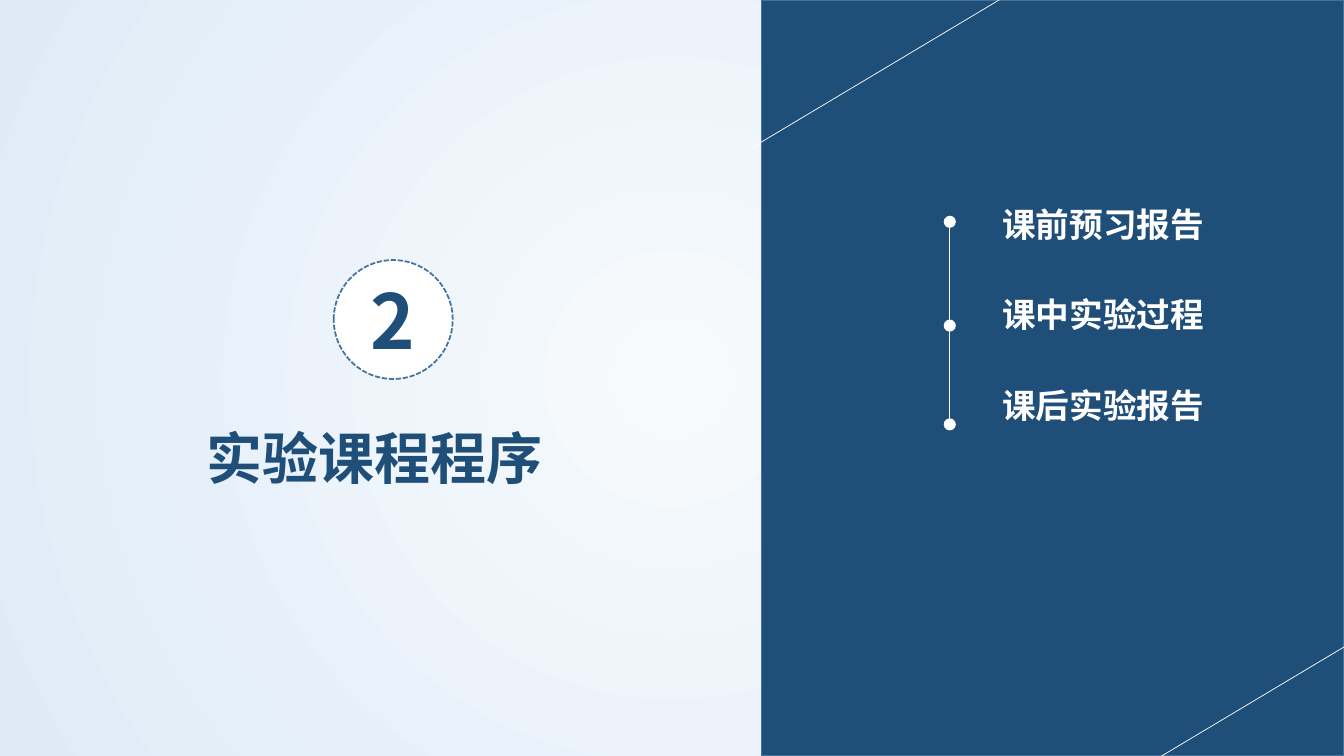
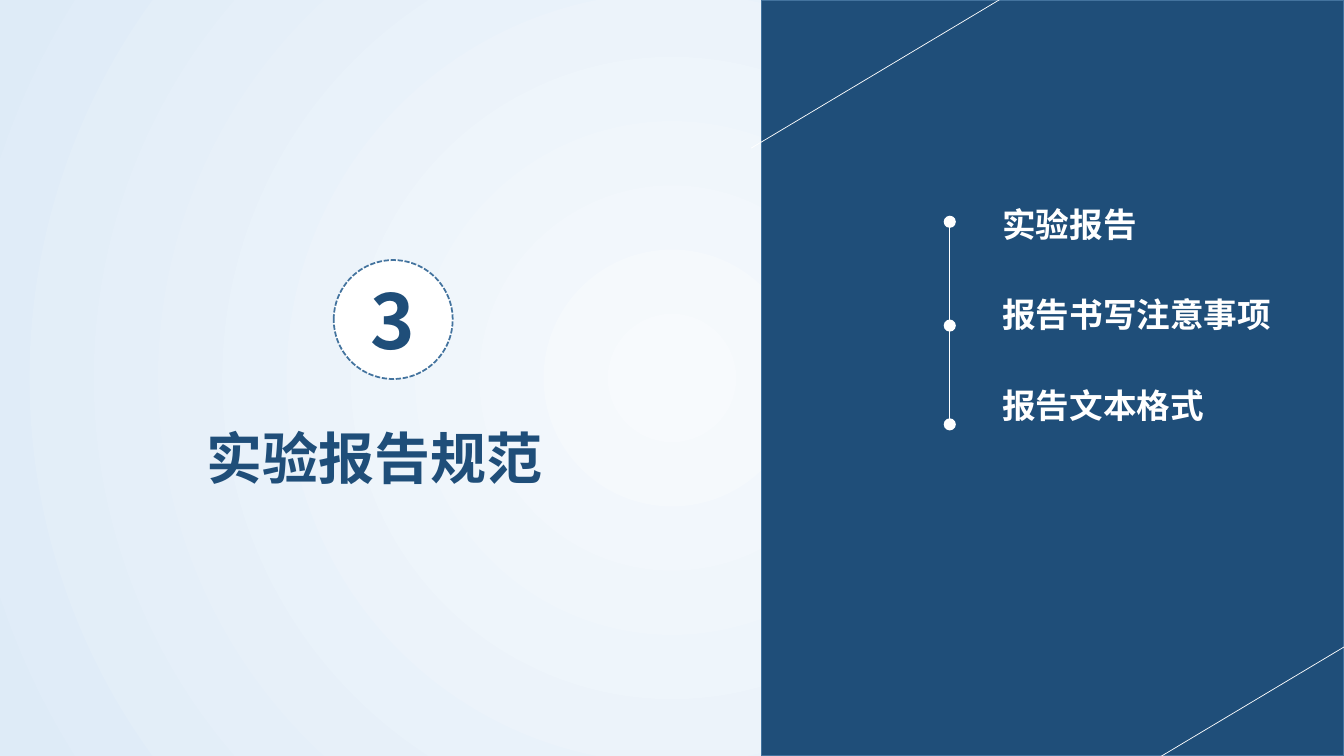
from dataclasses import dataclass

from lxml import etree
from pptx import Presentation
from pptx.dml.color import RGBColor
from pptx.enum import dml, shapes, text
from pptx.oxml.ns import qn
from pptx.util import Inches, Pt


@dataclass(frozen=True)
class Theme:
    font: str = "Noto Sans CJK SC"
    navy: RGBColor = RGBColor(0x1F, 0x4E, 0x79)
    outline: RGBColor = RGBColor(0x43, 0x73, 0x9E)
    white: RGBColor = RGBColor(0xFF, 0xFF, 0xFF)
    glow: RGBColor = RGBColor(0xF7, 0xFA, 0xFD)
    mist: RGBColor = RGBColor(0xDE, 0xEB, 0xF7)
    number_size: int = 54
    title_size: int = 40
    topic_size: int = 24


THEME = Theme()
SLIDE_WIDTH, SLIDE_HEIGHT = 13.33, 7.5
PANEL_LEFT = 7.55
DIAGONALS = [(10.36, -0.27, 7.45, 1.47), (13.98, 6.03, 11.07, 7.77)]
DOT_LEFT, DOT_SIZE = 9.36, 0.12
DOT_TOPS = [2.14, 3.17, 4.15]
TOPIC_GAP = 36

SECTIONS = [
    ("2", "实验课程程序", ["课前预习报告", "课中实验过程", "课后实验报告"]),
    ("3", "实验报告规范", ["实验报告", "报告书写注意事项", "报告文本格式"]),
]


def set_background(master):
    """Give every slide a radial gradient, lightest in the centre."""
    fill = master.background.fill
    fill.gradient()
    for stop, color in zip(fill.gradient_stops, (THEME.glow, THEME.mist)):
        stop.color.rgb = color
    gradient = master._element.find(".//" + qn("a:gradFill"))
    gradient.remove(gradient.find(qn("a:lin")))
    circle = etree.SubElement(gradient, qn("a:path"), path="circle")
    centre = dict.fromkeys("ltrb", "50000")
    etree.SubElement(circle, qn("a:fillToRect"), centre)


def style_paragraph(paragraph, size, color, align):
    paragraph.alignment = align
    font = paragraph.font
    font.name, font.size, font.bold = THEME.font, Pt(size), True
    font.color.rgb = color
    defaults = paragraph._p.pPr.find(qn("a:defRPr"))
    latin = defaults.find(qn("a:latin"))
    latin.addnext(etree.Element(qn("a:ea"), typeface=THEME.font))


def add_filled(slide, kind, box, color, outline_width=None):
    shape = slide.shapes.add_shape(kind, *map(Inches, box))
    shape.shadow.inherit = False
    shape.fill.solid()
    shape.fill.fore_color.rgb = color
    if outline_width:
        shape.line.color.rgb = THEME.outline
        shape.line.width = Pt(outline_width)
    else:
        shape.line.fill.background()
    return shape


def add_line(slide, ends, width):
    line = slide.shapes.add_connector(
        shapes.MSO_CONNECTOR.STRAIGHT, *map(Inches, ends))
    line.line.color.rgb = THEME.white
    line.line.width = Pt(width)
    etree.SubElement(line._element.spPr, qn("a:effectLst"))


def add_panel(slide):
    """Draw the dark right-hand panel behind the placeholders."""
    box = (PANEL_LEFT, 0, SLIDE_WIDTH - PANEL_LEFT, SLIDE_HEIGHT)
    panel = add_filled(slide, shapes.MSO_SHAPE.RECTANGLE, box, THEME.navy, 1)
    slide.shapes._spTree.insert(2, panel._element)
    for ends in DIAGONALS:
        add_line(slide, ends, 0.5)


def add_timeline(slide):
    radius = DOT_SIZE / 2
    x = DOT_LEFT + radius
    for top, below in zip(DOT_TOPS, DOT_TOPS[1:]):
        add_line(slide, (x, top + radius, x, below + radius), 1)
    for top in DOT_TOPS:
        add_filled(slide, shapes.MSO_SHAPE.OVAL,
                   (DOT_LEFT, top, DOT_SIZE, DOT_SIZE), THEME.white)


def add_number(slide, number):
    badge = add_filled(slide, shapes.MSO_SHAPE.OVAL,
                       (3.31, 2.58, 1.18, 1.18), THEME.white, 1.25)
    badge.line.dash_style = dml.MSO_LINE.SQUARE_DOT
    frame = badge.text_frame
    frame.text = number
    frame.vertical_anchor = text.MSO_ANCHOR.MIDDLE
    style_paragraph(frame.paragraphs[0], THEME.number_size, THEME.navy,
                    text.PP_ALIGN.CENTER)


def fill_placeholder(placeholder, box, content):
    """Move a placeholder, set its text and return its paragraphs."""
    (placeholder.left, placeholder.top,
     placeholder.width, placeholder.height) = map(Inches, box)
    frame = placeholder.text_frame
    frame.text = content
    frame.word_wrap = True
    frame.auto_size = text.MSO_AUTO_SIZE.NONE
    frame.vertical_anchor = text.MSO_ANCHOR.TOP
    return frame.paragraphs


def set_title(slide, title):
    for paragraph in fill_placeholder(slide.shapes.title,
                                      (0.53, 4.15, 6.37, 0.77), title):
        style_paragraph(paragraph, THEME.title_size, THEME.navy,
                        text.PP_ALIGN.CENTER)


def set_topics(slide, topics):
    for paragraph in fill_placeholder(slide.placeholders[1],
                                      (9.84, 1.97, 2.91, 2.47),
                                      "\n".join(topics)):
        paragraph.space_before = Pt(0)
        paragraph.space_after = Pt(TOPIC_GAP)
        style_paragraph(paragraph, THEME.topic_size, THEME.white,
                        text.PP_ALIGN.LEFT)
        properties = paragraph._p.pPr
        properties.set("marL", "0")
        properties.set("indent", "0")
        properties.find(qn("a:defRPr")).addprevious(
            etree.Element(qn("a:buNone")))


def add_section(deck, number, title, topics):
    slide = deck.slides.add_slide(deck.slide_layouts[1])
    add_panel(slide)
    add_number(slide, number)
    set_title(slide, title)
    add_timeline(slide)
    set_topics(slide, topics)


def main():
    deck = Presentation()
    deck.slide_width = Inches(SLIDE_WIDTH)
    deck.slide_height = Inches(SLIDE_HEIGHT)
    set_background(deck.slide_master)
    for section in SECTIONS:
        add_section(deck, *section)
    deck.save("out.pptx")


if __name__ == "__main__":
    main()
